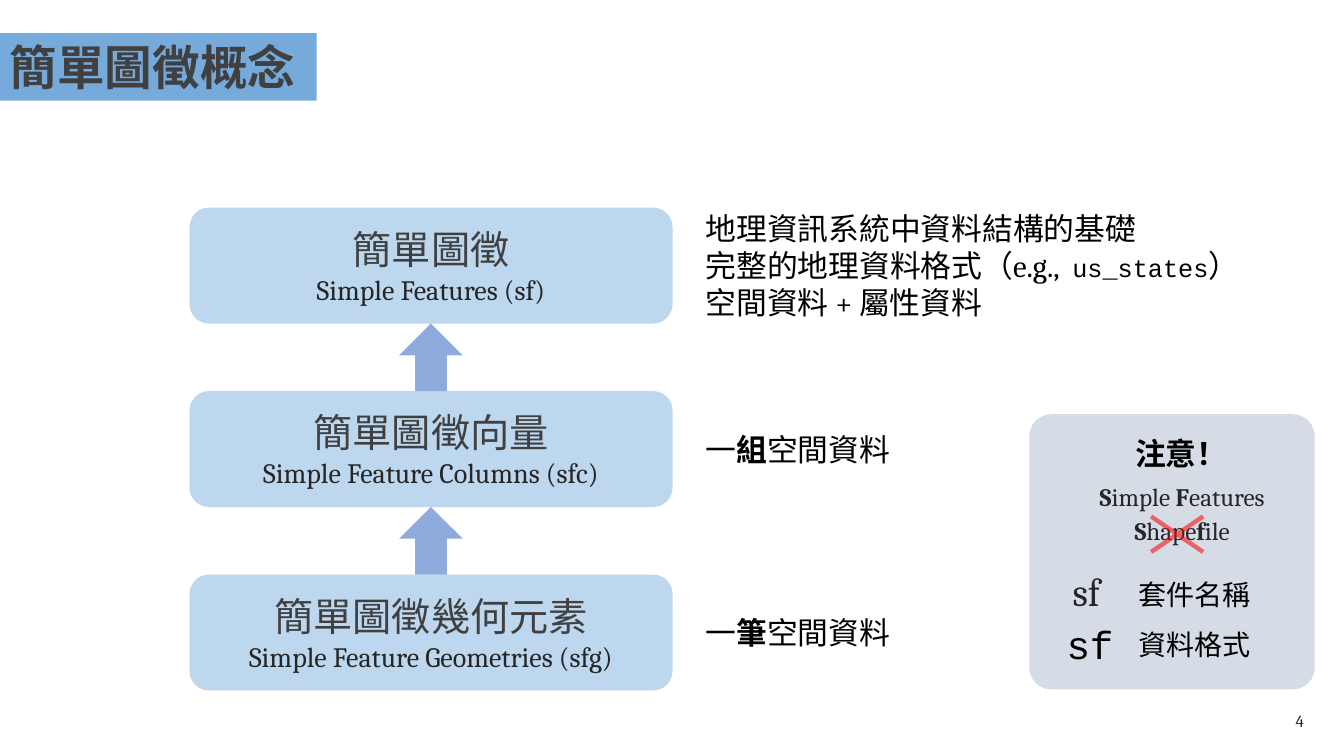
from dataclasses import dataclass

import pptx
import pptx.util
from lxml import etree
from pptx.dml.color import RGBColor
from pptx.enum.shapes import MSO_SHAPE
from pptx.enum.text import MSO_ANCHOR, MSO_AUTO_SIZE, PP_ALIGN
from pptx.oxml.ns import qn
from pptx.util import Inches


@dataclass(frozen=True)
class Theme:
    serif: str = "Cambria"
    mono: str = "Courier New"
    cjk: str = "Noto Sans CJK SC"
    black: str = "000000"
    ink: str = "262626"
    heading: str = "404040"
    title_bar: str = "75AADB"
    level: str = "BDD7EE"
    arrow: str = "8FAADC"
    note: str = "D6DCE5"
    cross: str = "FF0000"
    title_size: int = 34
    level_size: int = 28
    body_size: int = 22
    label_size: int = 20
    small_size: int = 18
    number_size: int = 12


T = Theme()


@dataclass(frozen=True)
class Style:
    size: int
    color: str = T.black
    font: str = T.serif
    bold: bool = False


TITLE = Style(T.title_size, T.heading, T.cjk, True)
LEVEL = Style(T.level_size, T.heading, T.cjk)
LEVEL_EN = Style(T.label_size, T.ink)
BODY = Style(T.body_size)
BODY_BOLD = Style(T.body_size, bold=True)
CODE = Style(T.small_size, font=T.mono)
TERM = Style(T.small_size, T.ink)
TERM_BOLD = Style(T.small_size, T.ink, bold=True)
PACKAGE = Style(T.level_size, T.ink)
FORMAT = Style(T.level_size, font=T.mono)
LABEL = Style(T.label_size)
NUMBER = Style(T.number_size, T.ink)


def write(tf, lines, align=PP_ALIGN.LEFT):
    """Fill a frame with lines, each a list of (text, Style) runs."""
    for i, line in enumerate(lines):
        p = tf.paragraphs[0] if i == 0 else tf.add_paragraph()
        p.alignment = align
        for text, style in line:
            r = p.add_run()
            r.text = text
            r.font.size = pptx.util.Pt(style.size)
            r.font.bold = style.bold
            r.font.color.rgb = RGBColor.from_string(style.color)
            r.font.name = style.font
            ea = etree.SubElement(r.font._element, qn("a:ea"))
            ea.set("typeface", T.cjk)


def add_text(s, x, y, w, h, lines, align=PP_ALIGN.LEFT):
    tf = s.shapes.add_textbox(Inches(x), Inches(y), Inches(w), Inches(h)).text_frame
    tf.word_wrap = True
    write(tf, lines, align)
    return tf


def add_block(s, kind, x, y, w, h, color, adjust=None):
    sp = s.shapes.add_shape(kind, Inches(x), Inches(y), Inches(w), Inches(h))
    sp.shadow.inherit = False
    sp.fill.solid()
    sp.fill.fore_color.rgb = RGBColor.from_string(color)
    sp.line.fill.background()
    if adjust is not None:
        sp.adjustments[0] = adjust
    return sp


def add_title(s, text):
    tf = add_block(s, MSO_SHAPE.RECTANGLE, 0, 0.33, 3.14, 0.67, T.title_bar).text_frame
    tf.word_wrap = False
    tf.auto_size = MSO_AUTO_SIZE.SHAPE_TO_FIT_TEXT
    tf.vertical_anchor = MSO_ANCHOR.TOP
    write(tf, [[(text, TITLE)]])


def add_hierarchy(s, levels):
    """Stack the levels from top to bottom, with an arrow up from each lower one."""
    x, top, w, h, gap = 1.88, 2.06, 4.79, 1.15, 0.67
    arrow_w = 0.63
    for i, (name, english) in enumerate(levels):
        y = top + i * (h + gap)
        tf = add_block(s, MSO_SHAPE.ROUNDED_RECTANGLE, x, y, w, h, T.level).text_frame
        tf.vertical_anchor = MSO_ANCHOR.MIDDLE
        write(tf, [[(name, LEVEL)], [(english, LEVEL_EN)]], PP_ALIGN.CENTER)
        if i:
            add_block(s, MSO_SHAPE.UP_ARROW, x + (w - arrow_w) / 2, y - gap,
                      arrow_w, gap, T.arrow)


def add_descriptions(s):
    add_text(s, 6.9, 2.03, 5.74, 1.21, [
        [("地理資訊系統中資料結構的基礎", BODY)],
        [("完整的地理資料格式（e.g.,  ", BODY), ("us_states", CODE), ("）", BODY)],
        [("空間資料 + 屬性資料", BODY)],
    ])
    for y, unit in ((4.22, "組"), (6.04, "筆")):
        add_text(s, 6.9, y, 2.11, 0.47,
                 [[("一", BODY), (unit, BODY_BOLD), ("空間資料", BODY)]])


def add_cross(s):
    sp = add_block(s, MSO_SHAPE.MATH_MULTIPLY, 11.18, 4.96, 0.99, 0.68, T.cross, 0.064)
    color = sp.fill._xPr.find(qn("a:solidFill"))[0]
    etree.SubElement(color, qn("a:alpha")).set("val", "55000")


def add_note(s):
    add_block(s, MSO_SHAPE.ROUNDED_RECTANGLE, 10.21, 4.11, 2.83, 2.73, T.note, 0.079)
    add_text(s, 11.07, 4.26, 1.29, 0.47, [[("注意！", BODY_BOLD)]], PP_ALIGN.CENTER)
    terms = (
        (4.73, ("S", "imple ", "F", "eatures")),
        (5.06, ("S", "hape", "f", "ile")),
    )
    for y, parts in terms:
        line = list(zip(parts, (TERM_BOLD, TERM) * 2))
        add_text(s, 10.63, y, 2.19, 0.4, [line], PP_ALIGN.CENTER)
    add_cross(s)
    meanings = (
        (10.54, 5.58, PACKAGE, 5.68, "套件名稱"),
        (10.48, 6.1, FORMAT, 6.18, "資料格式"),
    )
    for x, y, style, label_y, label in meanings:
        add_text(s, x, y, 0.7, 0.57, [[("sf", style)]])
        add_text(s, 11.19, label_y, 1.52, 0.44, [[(label, LABEL)]])


def add_page_number(s, number):
    tf = add_text(s, 10.03, 6.95, 3, 0.4, [[(number, NUMBER)]], PP_ALIGN.RIGHT)
    tf.vertical_anchor = MSO_ANCHOR.MIDDLE


def main():
    prs = pptx.Presentation()
    prs.slide_width, prs.slide_height = Inches(13.33), Inches(7.5)
    s = prs.slides.add_slide(prs.slide_layouts[6])
    add_title(s, "簡單圖徵概念")
    add_hierarchy(s, [
        ("簡單圖徵", "Simple Features (sf)"),
        ("簡單圖徵向量", "Simple Feature Columns (sfc)"),
        ("簡單圖徵幾何元素", "Simple Feature Geometries (sfg)"),
    ])
    add_descriptions(s)
    add_note(s)
    add_page_number(s, "4")
    prs.save("out.pptx")


if __name__ == "__main__":
    main()
